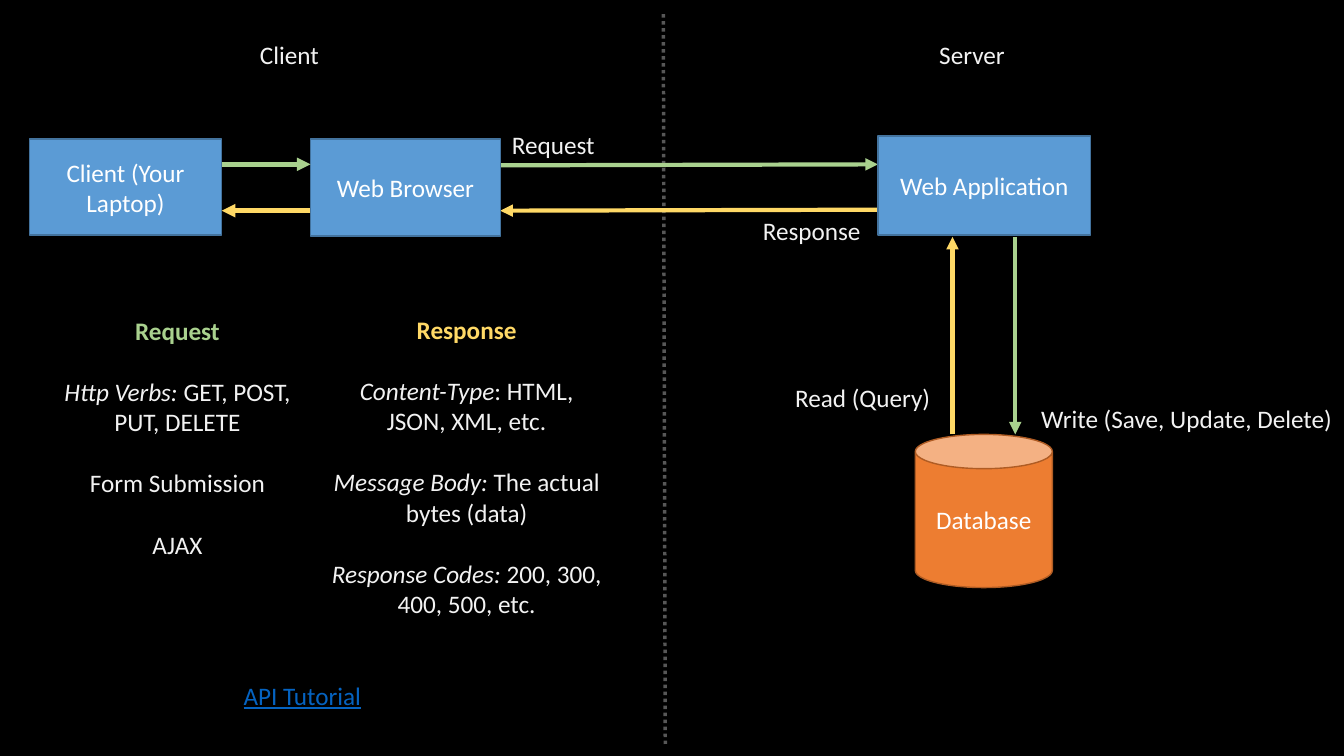
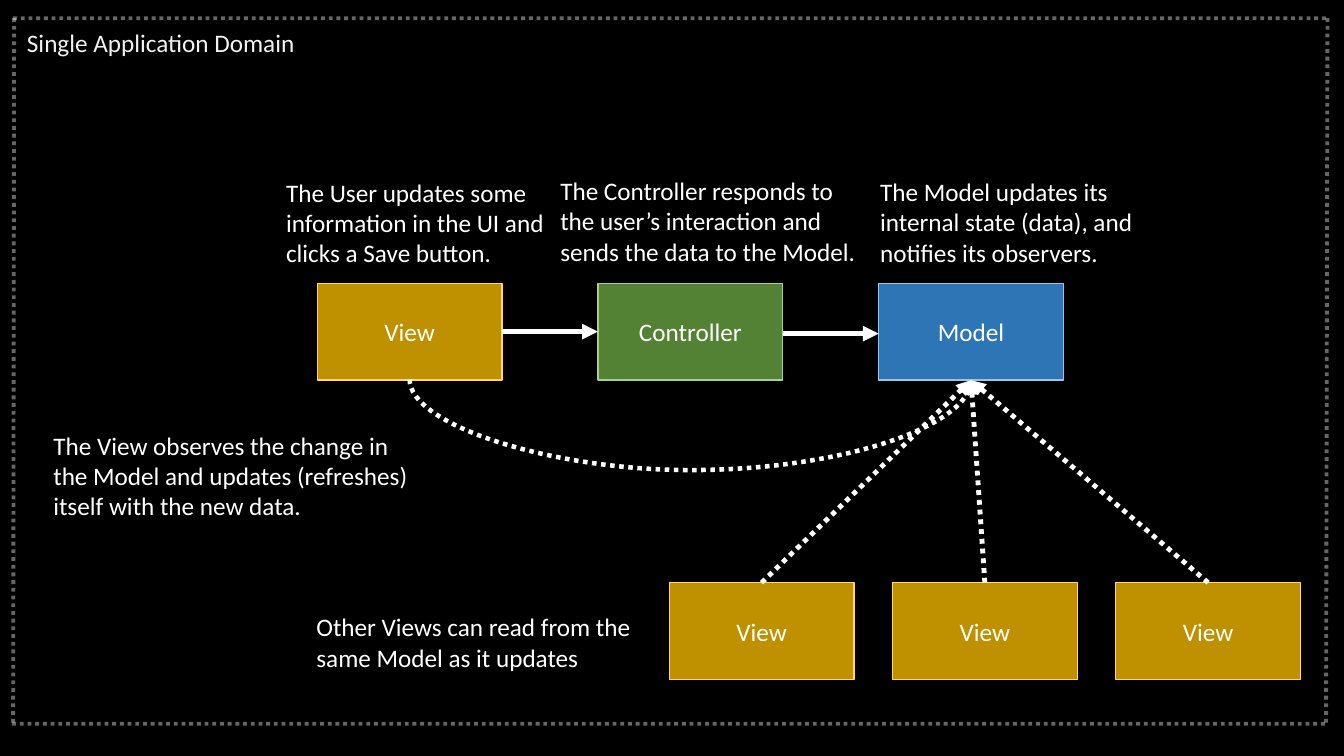
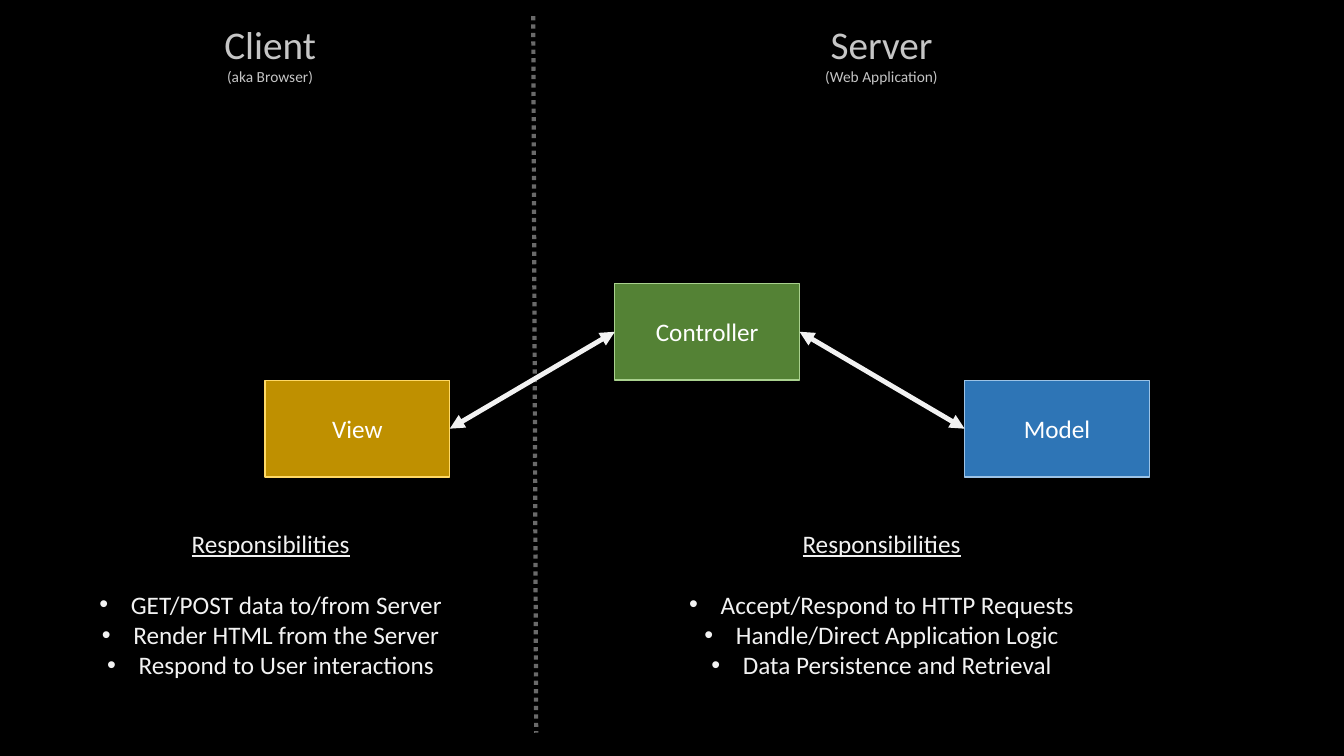
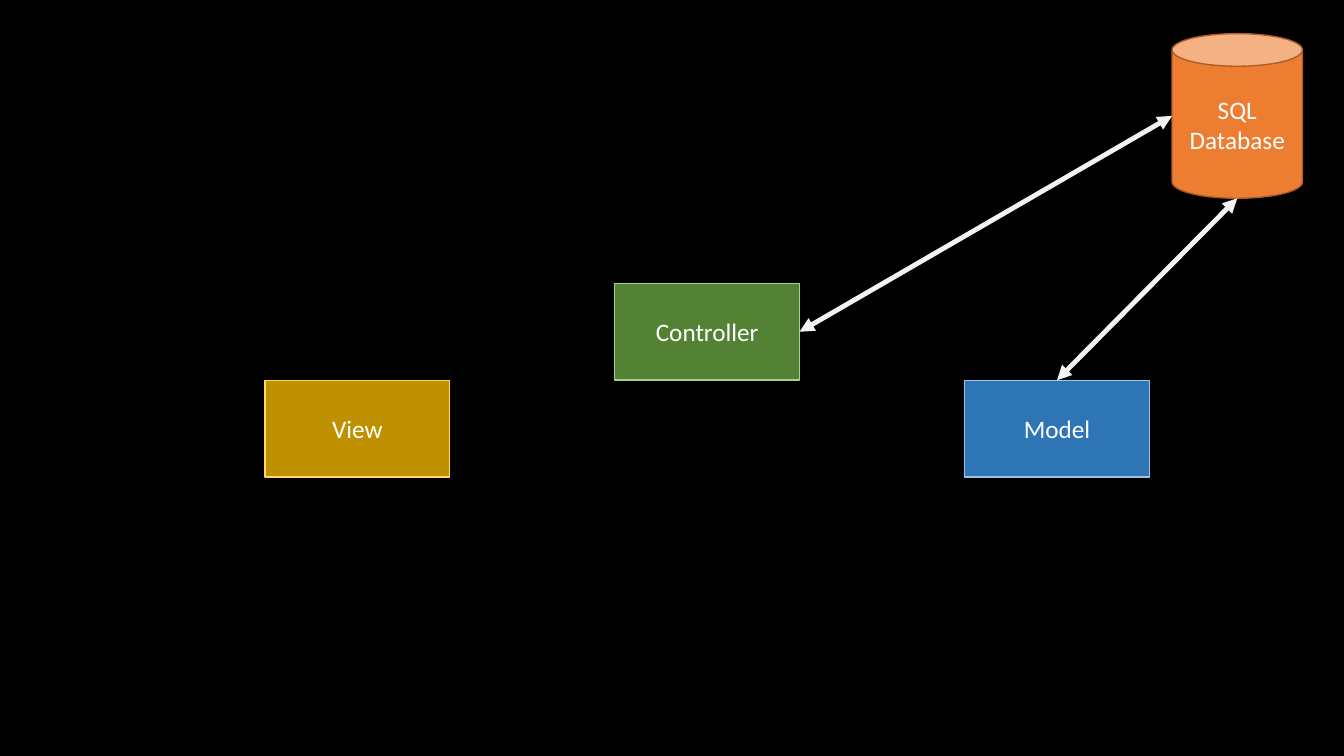
from dataclasses import dataclass

from lxml import etree
from pptx import Presentation
from pptx.dml.color import RGBColor
from pptx.enum.dml import MSO_LINE
from pptx.enum.shapes import MSO_CONNECTOR, MSO_SHAPE
from pptx.enum.text import MSO_ANCHOR, PP_ALIGN
from pptx.oxml.ns import qn
from pptx.shapes.connector import Connector
from pptx.slide import Slide
from pptx.text.text import TextFrame
from pptx.util import Pt

RECT, CAN = MSO_SHAPE.RECTANGLE, MSO_SHAPE.CAN
STRAIGHT, CURVE = MSO_CONNECTOR.STRAIGHT, MSO_CONNECTOR.CURVE
DOTTED = MSO_LINE.ROUND_DOT
LEFT, CENTER = PP_ALIGN.LEFT, PP_ALIGN.CENTER
MIDDLE = MSO_ANCHOR.MIDDLE


@dataclass(frozen=True)
class Theme:
    font: str = "Calibri"
    bullet_font: str = "Arial"
    body: float = 18
    heading: float = 28
    caption: float = 11
    blank_line: float = 22
    bullet_indent: float = 22.5
    backdrop: str = "000000"
    white: str = "FFFFFF"
    pale: str = "F2F2F2"
    grey: str = "BFBFBF"
    green: str = "A9D18E"
    yellow: str = "FFD966"
    link: str = "0563C1"
    heading_alpha: int = 82


THEME = Theme()


@dataclass(frozen=True)
class Look:
    fill: str
    edge: str
    outline: MSO_SHAPE = RECT


VIEW = Look("BF9000", THEME.yellow)
CONTROLLER = Look("548235", THEME.green)
MODEL = Look("2E75B6", "9DC3E6")
SYSTEM = Look("5B9BD5", "43739E")
DATABASE = Look("ED7D31", "AF5C24", CAN)


@dataclass(frozen=True)
class Box:
    left: float
    top: float
    width: float
    height: float

    @property
    def right(self) -> float:
        return self.left + self.width

    @property
    def bottom(self) -> float:
        return self.top + self.height

    @property
    def center(self) -> float:
        return self.left + self.width / 2

    @property
    def middle(self) -> float:
        return self.top + self.height / 2


@dataclass(frozen=True)
class Span:
    text: str
    color: str = THEME.pale
    size: float = THEME.body
    alpha: int = 100
    bold: bool = False
    italic: bool = False
    underline: bool = False


@dataclass(frozen=True)
class Para:
    spans: tuple[Span, ...]
    before: float = 0
    bullet: bool = False


@dataclass(frozen=True)
class Stroke:
    color: str
    width: float
    dotted: bool = False
    alpha: int = 100
    head: bool = False
    tail: bool = False


def set_alpha(fill_parent: etree._Element, alpha: int) -> None:
    if alpha < 100:
        for color in fill_parent.iter(qn("a:srgbClr")):
            etree.SubElement(color, qn("a:alpha"), val=str(alpha * 1000))


def write(frame: TextFrame, paras: list[Para], align: PP_ALIGN) -> None:
    for index, para in enumerate(paras):
        target = frame.paragraphs[0] if index == 0 else frame.add_paragraph()
        target.alignment = align
        target.space_before = Pt(para.before)
        if para.bullet:
            props = target._p.get_or_add_pPr()
            props.set("marL", str(Pt(THEME.bullet_indent)))
            props.set("indent", str(-Pt(THEME.bullet_indent)))
            etree.SubElement(props, qn("a:buFont"), typeface=THEME.bullet_font)
            etree.SubElement(props, qn("a:buChar"), char="•")
        for span in para.spans:
            run = target.add_run()
            run.text = span.text
            run.font.name = THEME.font
            run.font.size = Pt(span.size)
            run.font.bold = span.bold
            run.font.italic = span.italic
            run.font.underline = span.underline
            run.font.color.rgb = RGBColor.from_string(span.color)
            set_alpha(run._r, span.alpha)


def add_text(slide: Slide, box: Box, paras: list[Para],
             align: PP_ALIGN = CENTER, wrap: bool = True) -> None:
    area = slide.shapes.add_textbox(
        Pt(box.left), Pt(box.top), Pt(box.width), Pt(box.height))
    area.text_frame.word_wrap = wrap
    write(area.text_frame, paras, align)


def add_label(slide: Slide, text: str, left: float, top: float, width: float) -> None:
    add_text(slide, Box(left, top, width, 29), [Para((Span(text),))], LEFT, False)


def add_note(slide: Slide, text: str, left: float, top: float, width: float) -> None:
    add_text(slide, Box(left, top, width, 73),
             [Para((Span(text, THEME.white),))], LEFT)


def add_node(slide: Slide, look: Look, box: Box, *lines: str) -> None:
    node = slide.shapes.add_shape(
        look.outline, Pt(box.left), Pt(box.top), Pt(box.width), Pt(box.height))
    node.shadow.inherit = False
    node.fill.solid()
    node.fill.fore_color.rgb = RGBColor.from_string(look.fill)
    node.line.color.rgb = RGBColor.from_string(look.edge)
    node.line.width = Pt(1)
    node.text_frame.word_wrap = True
    node.text_frame.vertical_anchor = MIDDLE
    write(node.text_frame, [Para((Span(line, THEME.white),)) for line in lines], CENTER)


def add_line(slide: Slide, stroke: Stroke, x1: float, y1: float, x2: float, y2: float,
             kind: MSO_CONNECTOR = STRAIGHT) -> Connector:
    line = slide.shapes.add_connector(kind, Pt(x1), Pt(y1), Pt(x2), Pt(y2))
    line.line.color.rgb = RGBColor.from_string(stroke.color)
    line.line.width = Pt(stroke.width)
    if stroke.dotted:
        line.line.dash_style = DOTTED
    props = line._element.spPr
    set_alpha(props, stroke.alpha)
    ends = (("a:headEnd", stroke.head), ("a:tailEnd", stroke.tail))
    for tag, shown in ends:
        if shown:
            etree.SubElement(props.find(qn("a:ln")), qn(tag), type="triangle")
    etree.SubElement(props, qn("a:effectLst"))
    return line


def add_sagging_curve(slide: Slide, stroke: Stroke, x1: float, y1: float,
                      x2: float, y2: float, sag: float) -> None:
    curve = add_line(slide, stroke, x1, y1, x2, y2, CURVE)
    span, drop = x2 - x1, y2 - y1
    curve.left, curve.top = Pt((x1 + x2 - drop) / 2), Pt((y1 + y2 - span) / 2)
    curve.width, curve.height = Pt(drop), Pt(span)
    props = curve._element.spPr
    frame = props.find(qn("a:xfrm"))
    frame.set("rot", str(270 * 60000))
    frame.set("flipH", "1")
    guides = props.find(qn("a:prstGeom")).get_or_add_avLst()
    etree.SubElement(guides, qn("a:gd"), name="adj1",
                     fmla=f"val {round(sag / drop * 100000)}")


def mvc_box(left: float, top: float) -> Box:
    return Box(left, top, 132, 69.2)


MVC_TOP = 202.4
VIEW_BOX, CONTROLLER_BOX, MODEL_BOX = (
    mvc_box(189.3 + 249.85 * column, top)
    for column, top in enumerate((271.6, MVC_TOP, 271.6)))
TWO_WAY = Stroke(THEME.pale, 3.5, head=True, tail=True)


def add_mvc(slide: Slide) -> None:
    add_node(slide, MODEL, MODEL_BOX, "Model")
    add_node(slide, CONTROLLER, CONTROLLER_BOX, "Controller")
    add_node(slide, VIEW, VIEW_BOX, "View")


def build_request_cycle(slide: Slide) -> None:
    request = Stroke(THEME.green, 3, tail=True)
    response = Stroke(THEME.yellow, 3, tail=True)
    local_request = Stroke(THEME.green, 3.25, tail=True)
    local_response = Stroke(THEME.yellow, 3.25, tail=True)
    laptop = Box(20.9, 99.4, 137.5, 68.4)
    browser = Box(221.8, 99.4, 135.6, 69.1)
    application = Box(627.1, 97.2, 151.9, 70.6)
    database = Box(653.8, 310.3, 97.9, 109.4)

    add_label(slide, "Server", 663.8, 24.5, 62)
    add_label(slide, "Client", 178.6, 24.5, 57)
    add_line(slide, Stroke(THEME.grey, 2.5, True, 46), 473.8, 10.1, 475.2, 532.8)
    add_line(slide, request, browser.right, 118.1, application.left, 117.4)
    add_line(slide, response, application.left, 149.8, browser.right, 150.5)
    add_label(slide, "Response", 537.8, 150.5, 85)
    add_label(slide, "Request", 358.6, 88.6, 74)
    add_node(slide, DATABASE, database, "Database")
    add_node(slide, SYSTEM, application, "Web Application")
    add_node(slide, SYSTEM, laptop, "Client (Your Laptop)")
    add_node(slide, SYSTEM, browser, "Web Browser")
    add_line(slide, local_request, laptop.right, 117.4, browser.left, 117.4)
    add_line(slide, local_response, browser.left, 150.5, laptop.right, 150.5)
    add_line(slide, response, 680.4, database.top, 680.4, 169.2)
    add_line(slide, request, 725.2, 169.2, 725.2, database.top)
    add_label(slide, "Write (Save, Update, Delete)", 736.6, 284.4, 224.6)
    add_label(slide, "Read (Query)", 560.9, 269.3, 112.3)

    columns = (
        (Box(20.9, 221.8, 211.7, 225), "Request", THEME.green,
         (("Http Verbs: ", "GET, POST, PUT, DELETE"),
          ("", "Form Submission"), ("", "AJAX"))),
        (Box(227.5, 221, 211.7, 225), "Response", THEME.yellow,
         (("Content-Type", ": HTML, JSON, XML, etc."),
          ("Message Body: ", "The actual bytes (data)"),
          ("Response Codes:", " 200, 300, 400, 500, etc."))),
    )
    for box, title, color, entries in columns:
        paras = [Para((Span(title, color, bold=True),))]
        for term, detail in entries:
            lead = (Span(term, italic=True),) if term else ()
            paras.append(Para(lead + (Span(detail),), THEME.blank_line))
        add_text(slide, box, paras)
    add_text(slide, Box(20.9, 482.4, 390.2, 29),
             [Para((Span("API Tutorial", THEME.link, underline=True),))])


def build_single_domain(slide: Slide) -> None:
    view, controller, model = (mvc_box(226.6 + 200.5 * i, MVC_TOP) for i in range(3))
    step = Stroke(THEME.white, 3.75, tail=True)
    observe = Stroke(THEME.white, 3.25, True, tail=True)
    read = Stroke(THEME.white, 3.5, True, tail=True)
    border = Stroke(THEME.white, 2.75, True, 40)

    add_node(slide, MODEL, model, "Model")
    add_node(slide, CONTROLLER, controller, "Controller")
    add_node(slide, VIEW, view, "View")
    add_line(slide, step, view.right, 236.9, controller.left, 236.9)
    add_line(slide, step, controller.right, 238.3, model.left, 238.3)
    add_sagging_curve(slide, observe, view.center, 271, model.center, 272, 65.3)
    add_note(slide, "The User updates some information in the UI and clicks a Save button.",
             197.3, 123.1, 218.2)
    add_note(slide, "The Controller responds to the user’s interaction and sends the data "
             "to the Model.", 393.1, 121.7, 229)
    add_note(slide, "The Model updates its internal state (data), and notifies its observers.",
             621.6, 122.4, 218.2)
    add_note(slide, "The View observes the change in the Model and updates (refreshes) "
             "itself with the new data.", 31, 303.8, 275)

    left, top, right, bottom = 9.4, 13, 948.2, 517
    for ends in ((left + 0.7, top, left, bottom), (right, top, right - 1, bottom),
                 (left, top, right + 0.7, top), (left - 0.7, bottom, right, bottom)):
        add_line(slide, border, *ends)
    add_label(slide, "Single Application Domain", 12.2, 15.8, 208)

    others = [mvc_box(478 + 159.5 * i, 416.2) for i in range(3)]
    for other in others:
        add_node(slide, VIEW, other, "View")
        add_line(slide, read, other.center, other.top, model.center, model.bottom)
    add_note(slide, "Other Views can read from the same Model as it updates",
             218.9, 433.4, 275)


def build_responsibilities(slide: Slide) -> None:
    add_mvc(slide)
    add_line(slide, TWO_WAY, CONTROLLER_BOX.right, CONTROLLER_BOX.middle,
             MODEL_BOX.left, MODEL_BOX.middle)
    add_line(slide, TWO_WAY, VIEW_BOX.right, VIEW_BOX.middle,
             CONTROLLER_BOX.left, CONTROLLER_BOX.middle)
    add_line(slide, Stroke(THEME.pale, 3, True, 44), 380.9, 11.5, 383, 523.4)

    sides = (
        ("Server", "(Web Application)", Box(581.8, 10.8, 95.8, 55), 448.6,
         ("Accept/Respond to HTTP Requests", "Handle/Direct Application Logic",
          "Data Persistence and Retrieval")),
        ("Client", "(aka Browser)", Box(151.9, 10.8, 82.1, 55), 12.2,
         ("GET/POST data to/from Server", "Render HTML from the Server",
          "Respond to User interactions")),
    )
    for name, alias, heading, duties_left, duties in sides:
        add_text(slide, heading, [
            Para((Span(text, size=size, alpha=THEME.heading_alpha),))
            for text, size in ((name, THEME.heading), (alias, THEME.caption))
        ], wrap=False)
        paras = [Para((Span("Responsibilities", underline=True),))]
        for index, duty in enumerate(duties):
            before = THEME.blank_line if index == 0 else 0
            paras.append(Para((Span(duty),), before, True))
        add_text(slide, Box(duties_left, 373.7, 362.2, 117), paras)


def build_database_access(slide: Slide) -> None:
    database = Box(837.2, 24, 93.2, 117.6)
    add_mvc(slide)
    add_node(slide, DATABASE, database, "SQL", "Database")
    add_line(slide, TWO_WAY, database.center, database.bottom,
             MODEL_BOX.center, MODEL_BOX.top)
    add_line(slide, TWO_WAY, database.left, database.middle,
             CONTROLLER_BOX.right, CONTROLLER_BOX.middle)


def main() -> None:
    deck = Presentation()
    deck.slide_width, deck.slide_height = Pt(960), Pt(540)
    backdrop = deck.slide_master.background.fill
    backdrop.solid()
    backdrop.fore_color.rgb = RGBColor.from_string(THEME.backdrop)
    blank = deck.slide_layouts[6]
    for build in (build_request_cycle, build_single_domain,
                  build_responsibilities, build_database_access):
        build(deck.slides.add_slide(blank))
    deck.save("out.pptx")


if __name__ == "__main__":
    main()
